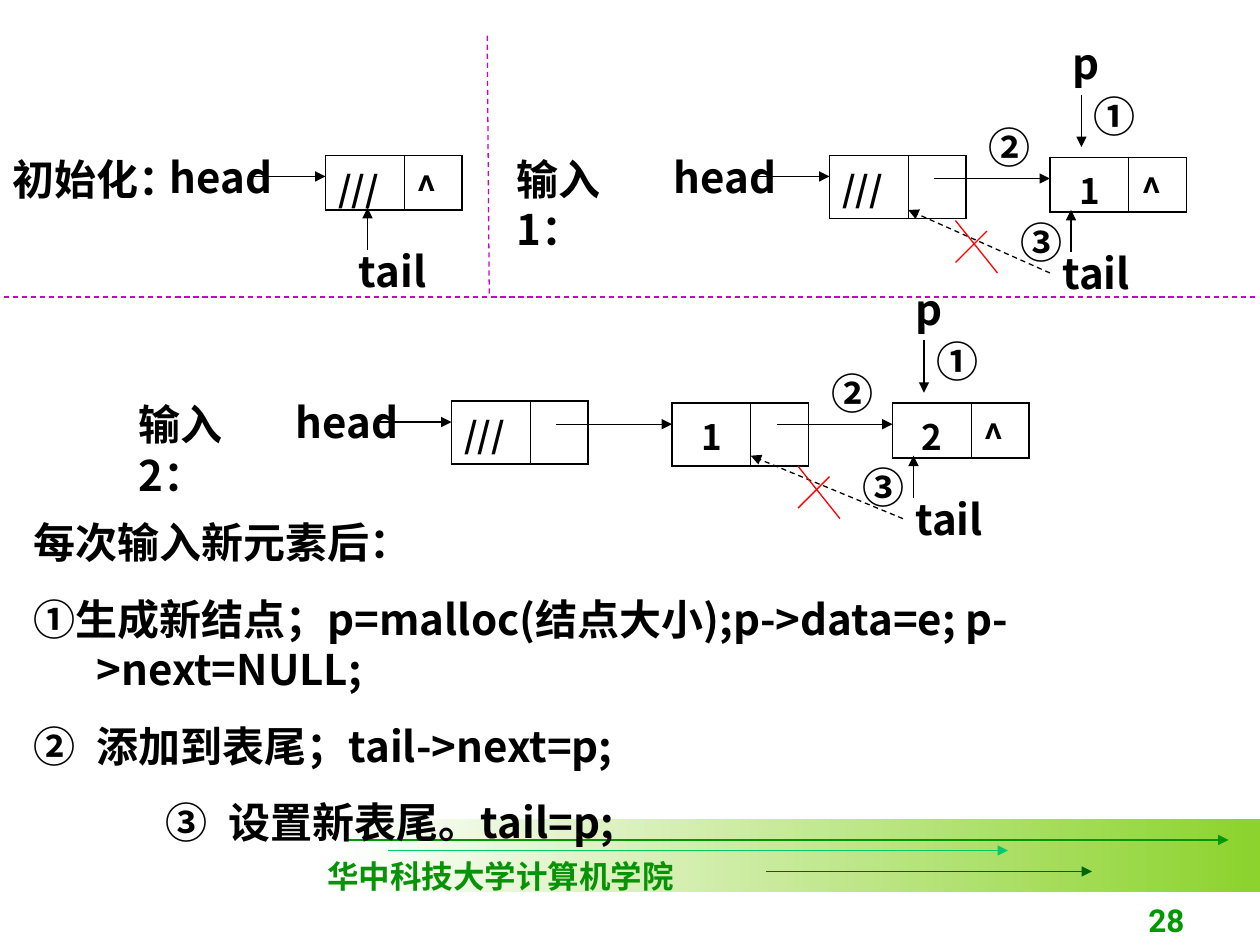
import pptx
import pptx.util
from lxml import etree
from pptx.dml.color import RGBColor
from pptx.enum.dml import MSO_LINE
from pptx.enum.shapes import MSO_CONNECTOR, MSO_SHAPE
from pptx.enum.text import MSO_ANCHOR, PP_ALIGN
from pptx.oxml.ns import qn

BLACK = RGBColor(0x00, 0x00, 0x00)
WHITE = RGBColor(0xFF, 0xFF, 0xFF)
RED = RGBColor(0xFF, 0x00, 0x00)
MAGENTA = RGBColor(0xCC, 0x00, 0xCC)
LIME = RGBColor(0x8C, 0xD3, 0x2D)
GREEN = RGBColor(0x00, 0x99, 0x00)
MINT = RGBColor(0x00, 0xCC, 0x66)
FOREST = RGBColor(0x00, 0x66, 0x00)
SCHOOL_GREEN = RGBColor(0x06, 0x94, 0x06)

CJK = "Noto Sans CJK SC"
COLUMNS, ROWS = 120, 90
LABEL_ROWS = 6
NODE_COLUMNS = (7.5, 5.5)


def grid(*counts):
    """Turn counts of grid columns or rows, twelve to the inch, into lengths."""
    return [pptx.util.Inches(count / 12) for count in counts]


def write(paragraph, text, size=24, font=CJK, color=BLACK, align=None):
    paragraph.alignment = align
    run = paragraph.add_run()
    run.text = text
    run.font.size = pptx.util.Pt(size)
    run.font.bold = True
    run.font.name = font
    run.font.color.rgb = color
    east_asian = etree.SubElement(run.font._element, qn("a:ea"))
    east_asian.set("typeface", CJK)


def label(slide, text, x, y, width=15, height=LABEL_ROWS, wrap=True,
          anchor=MSO_ANCHOR.TOP, **style):
    frame = slide.shapes.add_textbox(*grid(x, y, width, height)).text_frame
    frame.word_wrap = wrap
    frame.vertical_anchor = anchor
    write(frame.paragraphs[0], text, **style)


def line(slide, start, end, color=BLACK, dashed=False, arrow=True):
    connector = slide.shapes.add_connector(
        MSO_CONNECTOR.STRAIGHT, *grid(*start, *end))
    connector.line.color.rgb = color
    connector.line.width = pptx.util.Pt(0.75)
    if dashed:
        connector.line.dash_style = MSO_LINE.DASH
    if arrow:
        outline = connector.line._get_or_add_ln()
        etree.SubElement(outline, qn("a:tailEnd")).set("type", "triangle")
    etree.SubElement(connector._element.spPr, qn("a:effectLst"))


def border(cell, **widths):
    """Draw black borders, given in points for the sides L, R, T and B."""
    properties = cell._tc.get_or_add_tcPr()
    for position, side in enumerate("LRTB"):
        edge = etree.Element(qn(f"a:ln{side}"))
        edge.set("w", str(pptx.util.Pt(widths[side])))
        fill = etree.SubElement(edge, qn("a:solidFill"))
        etree.SubElement(fill, qn("a:srgbClr")).set("val", str(BLACK))
        properties.insert(position, edge)


def node(slide, x, y, data, pointer=""):
    """Draw a list node as a data cell and a pointer cell."""
    height = 5.2 if pointer else 6
    table = slide.shapes.add_table(
        1, 2, *grid(x, y, sum(NODE_COLUMNS), height)).table
    table.first_row = table.horz_banding = False
    for column, width in zip(table.columns, grid(*NODE_COLUMNS)):
        column.width = width
    data_cell, pointer_cell = table.cell(0, 0), table.cell(0, 1)
    for cell in (data_cell, pointer_cell):
        cell.fill.background()
    border(data_cell, L=1.08, R=0.45, T=1.08, B=1.08)
    border(pointer_cell, L=0.45, R=1.08, T=1.08, B=1.08)
    write(data_cell.text_frame.paragraphs[0], data, size=20,
          align=PP_ALIGN.CENTER if data.isdigit() else None)
    if pointer:
        write(pointer_cell.text_frame.paragraphs[0], pointer, size=20)


def head_node(slide, x, y, pointer=""):
    node(slide, x, y, "///", pointer)
    label(slide, "head", x - 16, y - 1)
    line(slide, (x - 7, y + 2), (x, y + 2))


def link_into(slide, x, y):
    """Draw the arrow from the preceding node into the node at x, y."""
    line(slide, (x - 11, y + 2), (x, y + 2))


def tail_pointer(slide, x, y, text_x):
    label(slide, "tail", text_x, y + 8)
    line(slide, (x, y + 9), (x, y + 5))


def initial_list(slide, x, y):
    label(slide, "初始化：", x - 31, y - 0.8, width=23)
    head_node(slide, x, y, "^")
    tail_pointer(slide, x + 4, y, x + 2)


def appended_node(slide, x, y, data, tail_shift=0):
    """Draw the new last node at x, y and the three numbered changes."""
    node(slide, x, y, data, "^")
    link_into(slide, x, y)
    label(slide, "p", x + 1, y - 12)
    line(slide, (x + 3, y - 6), (x + 3, y - 1))
    tail_pointer(slide, x + 2, y, x + tail_shift)
    for number, dx, dy in (("①", 3, -7), ("②", -7, -4), ("③", -4, 5)):
        label(slide, number, x + dx, y + dy, width=6)
    line(slide, (x + tail_shift, y + 11), (x - 13.5, y + 5), dashed=True)
    line(slide, (x - 6, y + 7), (x - 9, y + 10), RED, arrow=False)
    line(slide, (x - 9, y + 6), (x - 5, y + 11), RED, arrow=False)


def first_input(slide, x, y):
    label(slide, "输入1：", x, y)
    head_node(slide, x + 31, y + 0.8)
    appended_node(slide, x + 52, y + 1, "1")


def second_input(slide, x, y):
    label(slide, "输入2：", x, y)
    head_node(slide, x + 31, y + 0.8)
    link_into(slide, x + 52, y + 1)
    node(slide, x + 52, y + 1, "1")
    appended_node(slide, x + 73, y + 1, "2", tail_shift=1)


def dividers(slide, x, y):
    """Separate the three diagrams by lines that meet at x, y."""
    line(slide, (-0.5, y), (COLUMNS - 0.5, y), MAGENTA, True, False)
    line(slide, (x - 0.2, 3.4), (x, y), MAGENTA, True, False)


def insertion_steps(slide, x, y, width, height):
    body = slide.placeholders[1]
    body.left, body.top, body.width, body.height = grid(x, y, width, height)
    steps = (
        ("每次输入新元素后：", 6),
        ("①生成新结点；p=malloc(结点大小);p->data=e; p->next=NULL;", 6),
        ("②\t添加到表尾；tail->next=p;", 6),
        ("③\t设置新表尾。tail=p;", 18.6),
    )
    frame = body.text_frame
    frame.word_wrap = True
    for index, (step, indent) in enumerate(steps):
        paragraph = frame.add_paragraph() if index else frame.paragraphs[0]
        properties = paragraph._p.get_or_add_pPr()
        properties.set("marL", str(grid(indent)[0]))
        properties.set("indent", str(grid(-6)[0]))
        etree.SubElement(properties, qn("a:buNone"))
        paragraph.space_before = pptx.util.Pt(15 if index else 0)
        write(paragraph, step)


def footer(slide, x, y, width, height):
    band = slide.shapes.add_shape(
        MSO_SHAPE.RECTANGLE, *grid(x, y, width, height))
    band.shadow.inherit = False
    band.line.fill.background()
    band.fill.gradient()
    band.fill.gradient_angle = 0
    for stop, color, position in zip(
            band.fill.gradient_stops, (WHITE, LIME), (0, 1)):
        stop.color.rgb = color
        stop.position = position
    for start, end, dy, color in (
            (1, 85, 2, GREEN), (5, 64, 3, MINT), (41, 72, 5, FOREST)):
        line(slide, (x + start, y + dy), (x + end, y + dy), color)
    label(slide, "华中科技大学计算机学院", x - 2, y + 3, width=35.4, height=4.8,
          wrap=False, size=18, font="Times New Roman", color=SCHOOL_GREEN)
    label(slide, "28", x + 57, y + 6, width=25, anchor=MSO_ANCHOR.BOTTOM,
          size=18, font="Roboto", color=GREEN, align=PP_ALIGN.RIGHT)


def main():
    deck = pptx.Presentation()
    deck.slide_width, deck.slide_height = grid(COLUMNS, ROWS)
    slide = deck.slides.add_slide(deck.slide_layouts[1])
    title = slide.shapes.title._element
    title.getparent().remove(title)
    footer(slide, x=32, y=78, width=88, height=7)
    initial_list(slide, x=31, y=14.8)
    first_input(slide, x=48, y=14)
    second_input(slide, x=12, y=37.4)
    dividers(slide, x=46.6, y=28.3)
    insertion_steps(slide, x=2, y=48.6, width=120.4, height=32.8)
    # The steps overlap the footer band, so they belong above it.
    slide.shapes._spTree.append(slide.placeholders[1]._element)
    deck.save("out.pptx")


if __name__ == "__main__":
    main()
